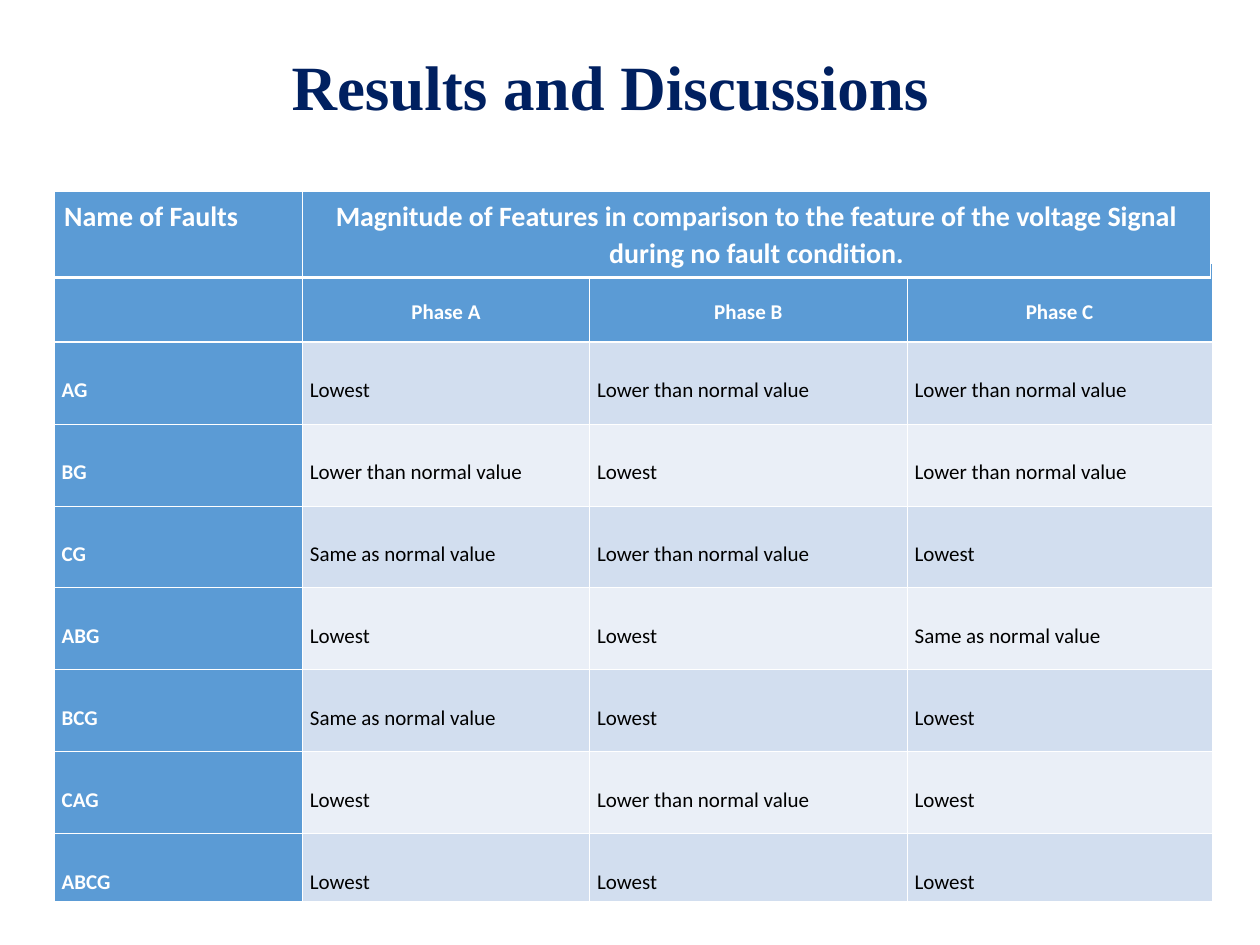
from dataclasses import dataclass

from lxml.etree import SubElement
from pptx import Presentation
from pptx.dml.color import RGBColor
from pptx.enum.text import MSO_ANCHOR, MSO_AUTO_SIZE, PP_ALIGN
from pptx.oxml.ns import qn
from pptx.util import Inches, Pt


@dataclass(frozen=True)
class Theme:
    navy: str = "002060"
    blue: str = "5B9BD5"
    bands: tuple = ("D2DEEF", "EAEFF7")
    white: str = "FFFFFF"
    black: str = "000000"
    title_font: str = "Times New Roman"
    body_font: str = "Calibri"
    title_size: float = 36
    heading_size: float = 16
    body_size: float = 12
    thin: float = 0.45
    thick: float = 1.47


def write(tf, text, *, font, size, color, bold=False, align=PP_ALIGN.LEFT, spacing=1.0):
    p = tf.paragraphs[0]
    p.alignment = align
    p.line_spacing = spacing
    r = p.add_run()
    r.text = text
    r.font.name = font
    r.font.size = Pt(size)
    r.font.bold = bold
    r.font.color.rgb = RGBColor.from_string(color)


class Deck:
    COLS, ROWS = 100, 75

    def __init__(self, theme):
        self.theme = theme
        self.prs = Presentation()
        self.prs.slide_width, self.prs.slide_height = Inches(10), Inches(7.5)
        self.s = self.prs.slides.add_slide(self.prs.slide_layouts[5])

    def x(self, cols):
        return round(self.prs.slide_width * cols / self.COLS)

    def y(self, rows):
        return round(self.prs.slide_height * rows / self.ROWS)

    def title(self, text, left, top, width, height):
        sp = self.s.shapes.title
        sp.left, sp.top = self.x(left), self.y(top)
        sp.width, sp.height = self.x(width), self.y(height)
        tf = sp.text_frame
        tf.auto_size = MSO_AUTO_SIZE.NONE
        tf.vertical_anchor = MSO_ANCHOR.MIDDLE
        t = self.theme
        write(tf, text, font=t.title_font, size=t.title_size, color=t.navy,
              bold=True, align=PP_ALIGN.CENTER)

    def table(self, left, top, widths, heights):
        frame = self.s.shapes.add_table(
            len(heights), len(widths), self.x(left), self.y(top),
            self.x(sum(widths)), self.y(sum(heights)))
        table = frame.table
        table.first_row = table.horz_banding = False
        for column, width in zip(table.columns, widths):
            column.width = self.x(width)
        for row, height in zip(table.rows, heights):
            row.height = self.y(height)
        return table

    def cell(self, cell, text, fill, *, side, top=0.5, size=None, above=None,
             below=None, **fmt):
        t = self.theme
        cell.margin_left = cell.margin_right = self.x(side)
        cell.margin_top, cell.margin_bottom = self.y(top), self.y(0.5)
        cell.vertical_anchor = MSO_ANCHOR.TOP
        edges = {"L": t.thin, "R": t.thin, "T": above or t.thin, "B": below or t.thin}
        for edge, width in edges.items():
            ln = SubElement(cell._tc.get_or_add_tcPr(), qn(f"a:ln{edge}"), w=str(Pt(width)))
            SubElement(SubElement(ln, qn("a:solidFill")), qn("a:srgbClr"), val=t.white)
        cell.fill.solid()
        cell.fill.fore_color.rgb = RGBColor.from_string(fill)
        if text:
            write(cell.text_frame, text, font=t.body_font, size=size or t.body_size,
                  spacing=1.07, **fmt)

    def fault_table(self, left, top, widths, heights, rows):
        t = self.theme
        table = self.table(left, top, widths, heights)
        for i, values in enumerate(rows):
            for j, text in enumerate(values):
                label = i == 0 or j == 0
                self.cell(
                    table.cell(i, j), text, t.blue if label else t.bands[(i - 1) % 2],
                    side=0.6, top=2.7, color=t.white if label else t.black, bold=label,
                    align=PP_ALIGN.CENTER if i == 0 else PP_ALIGN.LEFT,
                    above=t.thick if i == 1 else None, below=t.thick if i == 0 else None)

    def heading_table(self, left, top, widths, height, headings):
        t = self.theme
        table = self.table(left, top, widths, [height])
        for j, (text, align) in enumerate(headings):
            self.cell(table.cell(0, j), text, t.blue, side=0.8, size=t.heading_size,
                      color=t.white, bold=True, align=align, below=t.thick)


LOWEST, LOWER, SAME = "Lowest", "Lower than normal value", "Same as normal value"
FAULTS = [
    ("", "Phase A", "Phase B", "Phase C"),
    ("AG", LOWEST, LOWER, LOWER),
    ("BG", LOWER, LOWEST, LOWER),
    ("CG", SAME, LOWER, LOWEST),
    ("ABG", LOWEST, LOWEST, SAME),
    ("BCG", SAME, LOWEST, LOWEST),
    ("CAG", LOWEST, LOWER, LOWEST),
    ("ABCG", LOWEST, LOWEST, LOWEST),
]
HEADINGS = [
    ("Name of Faults", PP_ALIGN.LEFT),
    ("Magnitude of Features in comparison to the feature of the voltage Signal "
     "during no fault condition.", PP_ALIGN.CENTER),
]


def main():
    deck = Deck(Theme())
    deck.title("Results and Discussions ", 2, 2.1, 94.1, 9.4)
    deck.fault_table(4.3, 20.9, [19.7, 22.8, 25.2, 24.2],
                     [4.3] + [6.5] * 6 + [4.3], FAULTS)
    deck.heading_table(4.3, 15.2, [19.7, 72.1], 5.7, HEADINGS)
    deck.prs.save("out.pptx")


if __name__ == "__main__":
    main()
